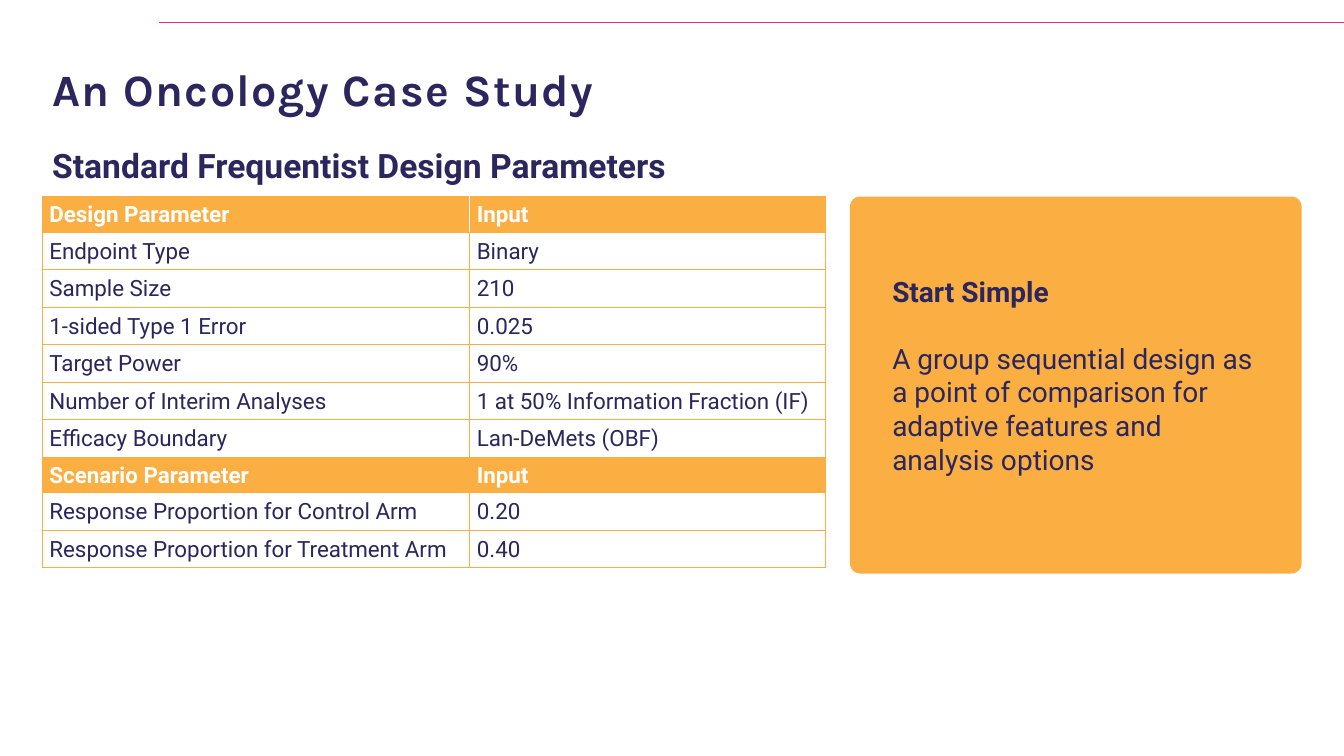
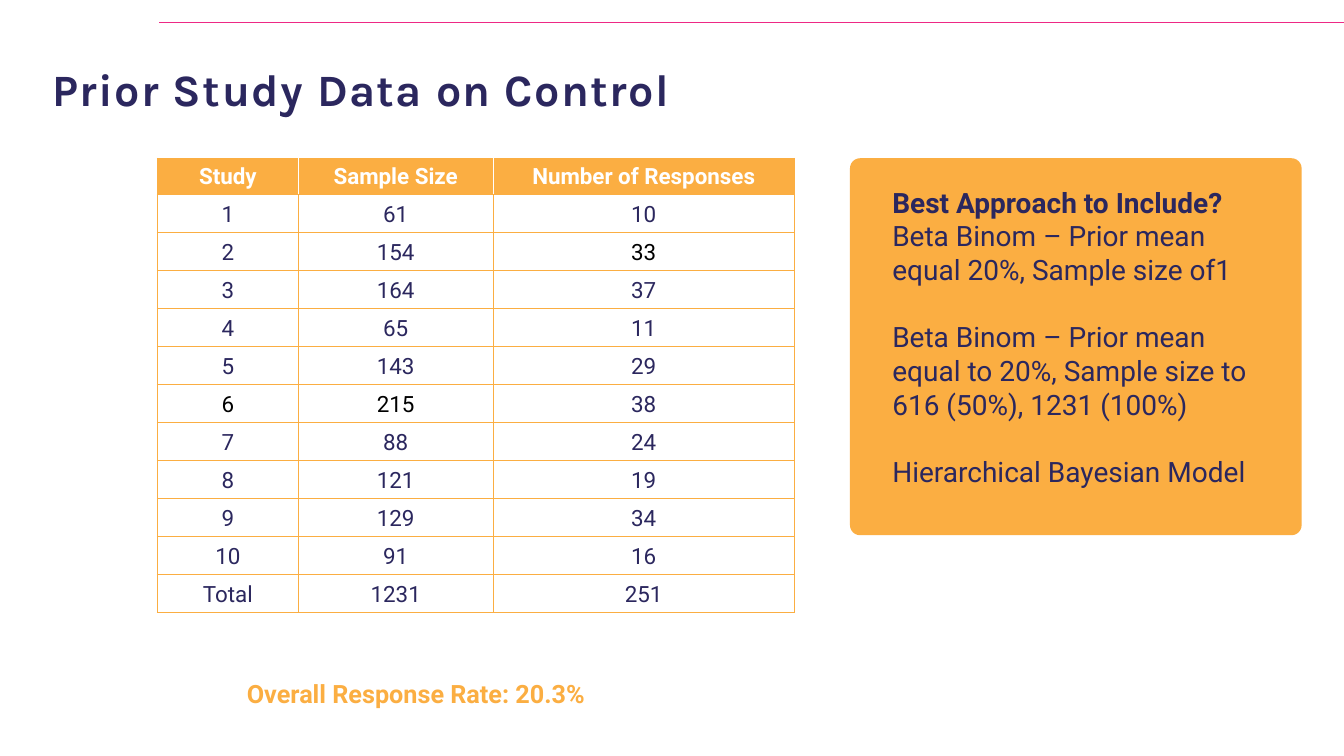
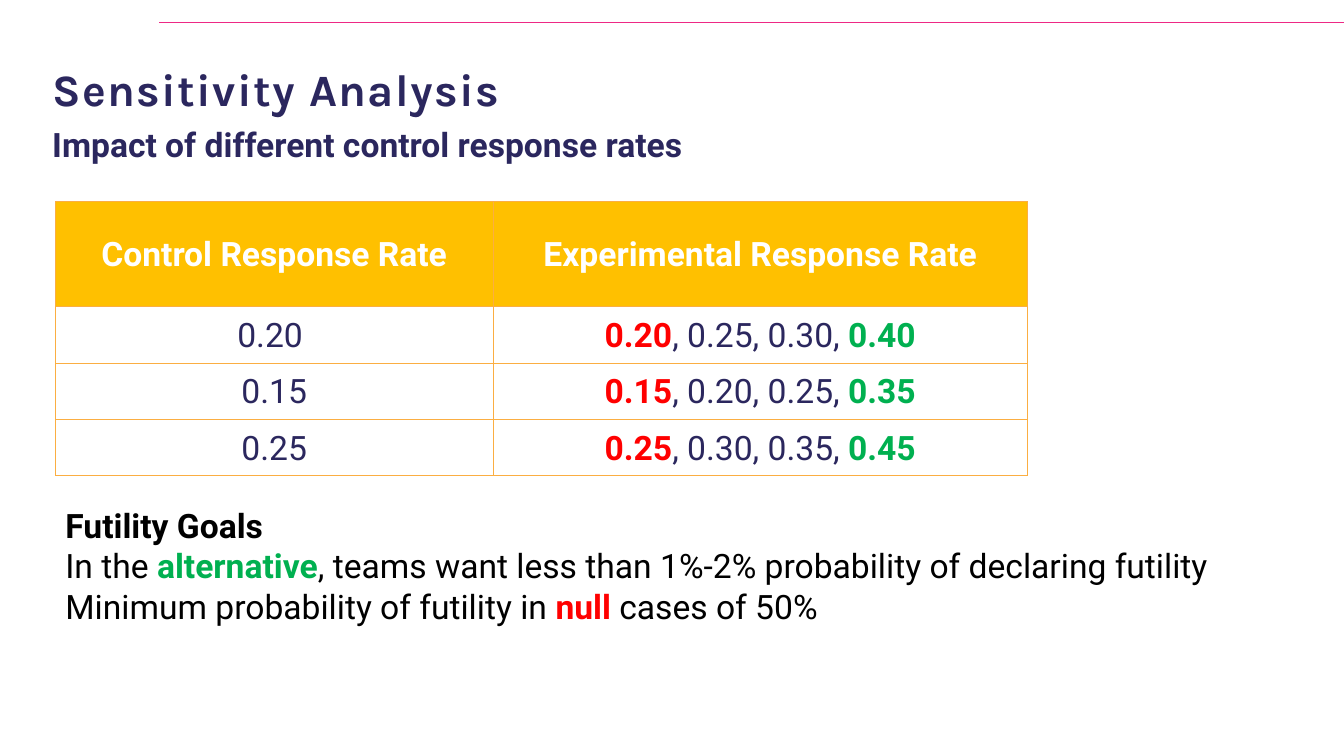
import pptx
import pptx.util
from pptx.dml.color import RGBColor
from pptx.enum.shapes import MSO_CONNECTOR, MSO_SHAPE
from pptx.enum.text import MSO_ANCHOR, PP_ALIGN
from pptx.oxml.ns import qn
from lxml import etree

Inches, Pt = pptx.util.Inches, pptx.util.Pt

WIDTH, HEIGHT = 13.33, 7.5
LEFT = 0.42
NAVY = RGBColor(0x2B, 0x27, 0x5E)
ORANGE = RGBColor(0xFB, 0xAE, 0x42)
AMBER = RGBColor(0xFF, 0xC0, 0x00)
PINK = RGBColor(0xED, 0x29, 0x85)
WHITE = RGBColor(0xFF, 0xFF, 0xFF)
BLACK = RGBColor(0x00, 0x00, 0x00)
RED = RGBColor(0xFF, 0x00, 0x00)
GREEN = RGBColor(0x00, 0xB0, 0x50)
BODY_FONT, TITLE_FONT = "Roboto", "Karla"

# A text is a string or a list of spans; a span is a string or (text, colour).
DESIGN_ROWS = [
    ("Design Parameter", "Input"),
    ("Endpoint Type", "Binary"),
    ("Sample Size", "210"),
    ("1-sided Type 1 Error", "0.025"),
    ("Target Power", "90%"),
    ("Number of Interim Analyses", "1 at 50% Information Fraction (IF)"),
    ("Efficacy Boundary", "Lan-DeMets (OBF)"),
    ("Scenario Parameter", "Input"),
    ("Response Proportion for Control Arm", "0.20"),
    ("Response Proportion for Treatment Arm", "0.40"),
]
STUDY_ROWS = [
    ("Study", "Sample Size", "Number of Responses"),
    ("1", "61", "10"),
    ("2", "154", [("33", BLACK)]),
    ("3", "164", "37"),
    ("4", "65", "11"),
    ("5", "143", "29"),
    ([("6", BLACK)], [("215", BLACK)], "38"),
    ("7", "88", "24"),
    ("8", "121", "19"),
    ("9", "129", "34"),
    ("10", "91", "16"),
    ("Total", "1231", "251"),
]
RATE_ROWS = [
    ("Control Response Rate", "Experimental Response Rate"),
    ("0.20 ", [("0.20", RED), ", 0.25, 0.30, ", ("0.40", GREEN)]),
    ("0.15", [("0.15", RED), ", 0.20, 0.25, ", ("0.35", GREEN)]),
    ("0.25", [("0.25", RED), ", 0.30, 0.35, ", ("0.45", GREEN)]),
]
# Panel paragraphs: (text, bold, points of space before)
START_SIMPLE = [
    ("Start Simple", True, 0),
    ("A group sequential design as a point of comparison for adaptive "
     "features and analysis options", False, 24),
]
BEST_APPROACH = [
    ("Best Approach to Include?", True, 0),
    ("Beta Binom – Prior mean equal 20%, Sample size of1", False, 0),
    ("Beta Binom – Prior mean equal to 20%, Sample size to 616 (50%), 1231 (100%)",
     False, 24),
    ("Hierarchical Bayesian Model", False, 24),
]
FUTILITY_GOALS = [
    ("Futility Goals", True, 0),
    (["In the ", ("alternative", GREEN),
      ", teams want less than 1%-2% probability of declaring futility"], False, 0),
    (["Minimum probability of futility in ", ("null ", RED), "cases of 50%"], False, 0),
]


def write(para, text, size, color=NAVY, bold=False, font=BODY_FONT, align=PP_ALIGN.LEFT):
    para.alignment = align
    para.font.name, para.font.size = font, Pt(size)
    para.font.bold, para.font.color.rgb = bold, color
    for part in [text] if isinstance(text, str) else text:
        span = para.add_run()
        if isinstance(part, str):
            span.text = part
        else:
            span.text, span.font.color.rgb = part
            span.font.bold = part[1] != BLACK


def write_all(frame, paragraphs, size, color):
    for index, (text, bold, space) in enumerate(paragraphs):
        para = frame.add_paragraph() if index else frame.paragraphs[0]
        para.space_before = Pt(space)
        write(para, text, size, color, bold)


def add_text(page, left, top, width, height):
    frame = page.shapes.add_textbox(*map(Inches, (left, top, width, height))).text_frame
    frame.word_wrap = True
    return frame


def add_page(deck, title):
    page = deck.slides.add_slide(deck.slide_layouts[6])
    rule = page.shapes.add_connector(
        MSO_CONNECTOR.STRAIGHT, *map(Inches, (1.58, 0.22, WIDTH, 0.22)))
    rule.line.color.rgb, rule.line.width = PINK, Pt(0.5)
    etree.SubElement(rule._element.spPr, qn("a:effectLst"))
    para = add_text(page, LEFT, 0.62, 12.5, 0.48).paragraphs[0]
    para.line_spacing = 0.9
    write(para, title, 32, bold=True, font=TITLE_FONT)
    para.runs[0].font._element.set("spc", "100")
    return page


def add_subtitle(page, text, top):
    para = add_text(page, LEFT, top, 8, 0.46).paragraphs[0]
    write(para, text, 24, bold=True)


def add_panel(page, top, paragraphs):
    panel = page.shapes.add_shape(
        MSO_SHAPE.ROUNDED_RECTANGLE, *map(Inches, (8.43, top, 4.48, 3.74)))
    panel.adjustments[0] = 0.027
    panel.shadow.inherit = False
    panel.fill.solid()
    panel.fill.fore_color.rgb = ORANGE
    panel.line.fill.background()
    frame = panel.text_frame
    frame.word_wrap = True
    frame.vertical_anchor = MSO_ANCHOR.MIDDLE
    frame.margin_left = frame.margin_top = frame.margin_right = Inches(0.39)
    frame.margin_bottom = Inches(0.59)
    write_all(frame, paragraphs, 20, NAVY)


def set_borders(cell, borders):
    """Draw (side, colour, points) lines, given in the order L, R, T, B."""
    properties = cell._tc.get_or_add_tcPr()
    for side, color, points in borders:
        line = etree.SubElement(properties, qn("a:ln" + side), w=str(Pt(points)))
        fill = etree.SubElement(line, qn("a:solidFill"))
        etree.SubElement(fill, qn("a:srgbClr"), val=str(color))


def add_table(page, left, top, columns, height, head_height, rows, size=16,
              align=PP_ALIGN.CENTER, head_fill=ORANGE, head_divider=WHITE, heads=(0,)):
    frame = page.shapes.add_table(
        len(rows), len(columns), *map(Inches, (left, top, sum(columns), height)))
    table = frame.table
    table.horz_banding = False
    for column, width in zip(table.columns, columns):
        column.width = Inches(width)
    body_height = (height - head_height * len(heads)) / (len(rows) - len(heads))
    last = len(columns) - 1
    for y, texts in enumerate(rows):
        is_head = y in heads
        table.rows[y].height = Inches(head_height if is_head else body_height)
        divider = (head_divider if y == 0 else ORANGE, 0.75)
        edge = (ORANGE, 0.5)
        for x, text in enumerate(texts):
            cell = table.cell(y, x)
            set_borders(cell, [("L", *(divider if x else edge)),
                               ("R", *(divider if x < last else edge)),
                               ("T", *edge), ("B", *edge)])
            if is_head:
                cell.fill.solid()
                cell.fill.fore_color.rgb = head_fill
            else:
                cell.fill.background()
            cell.vertical_anchor = MSO_ANCHOR.MIDDLE
            cell.margin_left = cell.margin_right = Inches(0.07)
            cell.margin_top = cell.margin_bottom = 0
            para = cell.text_frame.paragraphs[0]
            para.line_spacing = 1.07
            write(para, text, size, WHITE if is_head else NAVY, is_head, align=align)


def main():
    deck = pptx.Presentation()
    deck.slide_width, deck.slide_height = Inches(WIDTH), Inches(HEIGHT)

    page = add_page(deck, "An Oncology Case Study")
    add_subtitle(page, "Standard Frequentist Design Parameters", 1.39)
    add_table(page, LEFT, 1.95, (4.24, 3.53), 3.68, 0.35, DESIGN_ROWS,
              align=PP_ALIGN.LEFT, heads=(0, 7))
    add_panel(page, 1.95, START_SIMPLE)

    page = add_page(deck, "Prior Study Data on Control")
    add_table(page, 1.56, 1.57, (1.4, 1.93, 2.99), 4.51, 0.36, STUDY_ROWS)
    add_panel(page, 1.57, BEST_APPROACH)
    para = add_text(page, 1.17, 6.68, 5.91, 0.4).paragraphs[0]
    write(para, "Overall Response Rate: 20.3%", 18, ORANGE, True, align=PP_ALIGN.CENTER)

    page = add_page(deck, "Sensitivity Analysis")
    add_subtitle(page, "Impact of different control response rates", 1.18)
    add_table(page, 0.55, 2, (4.34, 5.3), 2.72, 1.04, RATE_ROWS, size=24,
              head_fill=AMBER, head_divider=ORANGE)
    write_all(add_text(page, 0.55, 4.96, 12.78, 1.31), FUTILITY_GOALS, 24, BLACK)

    deck.save("out.pptx")


if __name__ == "__main__":
    main()
